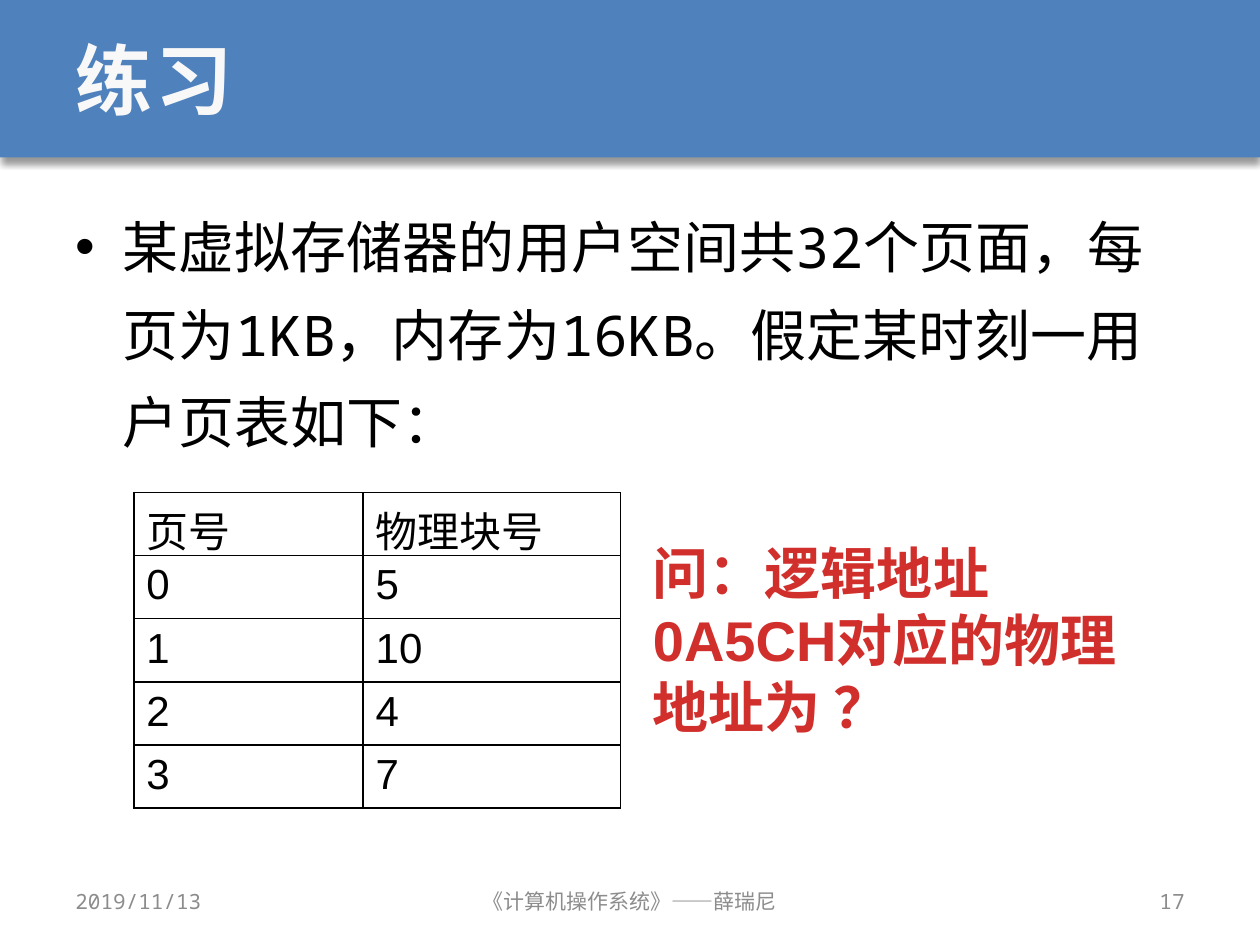
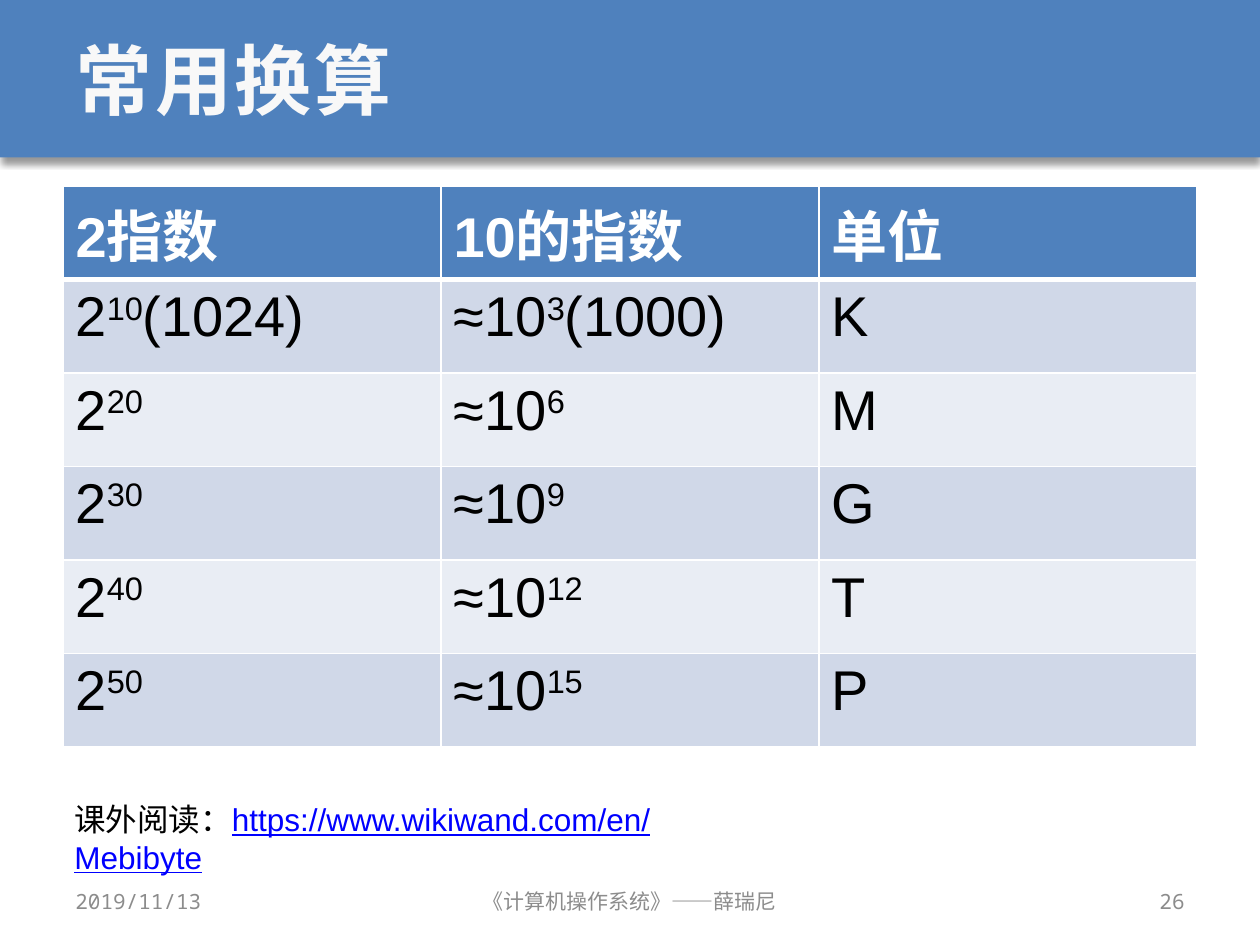
from lxml import etree
from pptx import Presentation
from pptx.dml.color import RGBColor
from pptx.enum.shapes import MSO_SHAPE as Shape
from pptx.enum.text import MSO_ANCHOR as Anchor, MSO_AUTO_SIZE as AutoSize, PP_ALIGN as Align
from pptx.oxml import parse_xml
from pptx.oxml.ns import nsdecls, qn
from pptx.util import Pt

BLUE = RGBColor(0x4F, 0x81, 0xBD)
PALE_BLUE = RGBColor(0xD0, 0xD8, 0xE8)
PALER_BLUE = RGBColor(0xE9, 0xED, 0xF4)
LINK_BLUE = RGBColor(0x00, 0x00, 0xFF)
RED = RGBColor(0xD0, 0x2F, 0x2C)
GREY = RGBColor(0x8C, 0x8C, 0x8C)
OFF_WHITE = RGBColor(0xF8, 0xF8, 0xF8)
WHITE = RGBColor(0xFF, 0xFF, 0xFF)
BLACK = RGBColor(0x00, 0x00, 0x00)
MONO, SANS = "Noto Sans Mono", "Arial"


def style(paragraph, name, size, color, bold=False):
    font = paragraph.font
    font.name, font.size, font.bold = name, Pt(size), bold
    font.color.rgb = color


def set_borders(cell, color, bottom=1):
    properties = cell._tc.get_or_add_tcPr()
    for side in "LRTB":
        width = Pt(bottom if side == "B" else 1)
        line = etree.SubElement(properties, qn(f"a:ln{side}"), w=str(width))
        fill = etree.SubElement(line, qn("a:solidFill"))
        etree.SubElement(fill, qn("a:srgbClr"), val=str(color))


presentation = Presentation()
presentation.slide_width, presentation.slide_height = Pt(720), Pt(540)
layouts = presentation.slide_layouts
exercise = presentation.slides.add_slide(layouts.get_by_name("Title and Content"))
conversion = presentation.slides.add_slide(layouts.get_by_name("Title Only"))

# Title band, moved to the master so that both slides share it
band = exercise.shapes.add_shape(Shape.RECTANGLE, 0, 0, Pt(720), Pt(90))
band.fill.solid()
band.fill.fore_color.rgb = BLUE
band.line.fill.background()
band._element.spPr.append(parse_xml(
    f'<a:effectLst {nsdecls("a")}>'
    f'<a:outerShdw blurRad="{Pt(4)}" dist="{Pt(3)}" dir="5400000" rotWithShape="0">'
    '<a:srgbClr val="000000"><a:alpha val="40000"/></a:srgbClr>'
    '</a:outerShdw></a:effectLst>'))
presentation.slide_master.shapes._spTree.insert(2, band._element)

# Titles and footers
for slide, heading, number in ((exercise, "练习", "17"), (conversion, "常用换算", "26")):
    title = slide.shapes.title
    title.left, title.top, title.width, title.height = Pt(36), 0, Pt(648), Pt(90)
    title.text_frame.text = heading
    title.text_frame.vertical_anchor = Anchor.MIDDLE
    title.text_frame.auto_size = AutoSize.NONE
    paragraph = title.text_frame.paragraphs[0]
    paragraph.alignment = Align.LEFT
    style(paragraph, MONO, 44, OFF_WHITE, bold=True)
    paragraph.runs[0].font._element.set("spc", "150")

    for left, width, text, alignment in (
            (36, 168, "2019/11/13", Align.LEFT),
            (246, 228, "《计算机操作系统》——薛瑞尼", Align.CENTER),
            (516, 168, number, Align.RIGHT)):
        footer = slide.shapes.add_textbox(Pt(left), Pt(500.5), Pt(width), Pt(28.75))
        footer.text_frame.word_wrap = True
        footer.text_frame.vertical_anchor = Anchor.MIDDLE
        footer.text_frame.text = text
        paragraph = footer.text_frame.paragraphs[0]
        paragraph.alignment = alignment
        style(paragraph, MONO, 12, GREY)

# Exercise: problem statement
body = exercise.placeholders[1]
body.left, body.top, body.width, body.height = Pt(36), Pt(106.5), Pt(648), Pt(384)
body.text_frame.text = "某虚拟存储器的用户空间共32个页面，每页为1KB，内存为16KB。假定某时刻一用户页表如下："
body.text_frame.auto_size = AutoSize.NONE
paragraph = body.text_frame.paragraphs[0]
paragraph.line_spacing = 1.3
paragraph.space_before = Pt(0)
style(paragraph, MONO, 32, BLACK)

# Exercise: page table
page_rows = [("页号", "物理块号"), ("0", "5"), ("1", "10"), ("2", "4"), ("3", "7")]
page_table = exercise.shapes.add_table(
    len(page_rows), 2, Pt(76.5), Pt(281.5), Pt(278), Pt(147.5)).table
page_table.first_row = page_table.horz_banding = False
page_table.columns[0].width, page_table.columns[1].width = Pt(131), Pt(147)
for row, texts in enumerate(page_rows):
    for column, text in enumerate(texts):
        cell = page_table.cell(row, column)
        cell.text = text
        style(cell.text_frame.paragraphs[0], SANS, 24, BLACK)
        set_borders(cell, BLACK)
        cell.fill.background()

# Exercise: question
question = exercise.shapes.add_textbox(Pt(366), Pt(304), Pt(306), Pt(124))
question.text_frame.word_wrap = True
question.text_frame.text = "问：逻辑地址0A5CH对应的物理地址为 ？"
style(question.text_frame.paragraphs[0], SANS, 32, RED, bold=True)

# Conversion table: text between carets is superscript
unit_rows = [("2指数", "10的指数", "单位"),
             ("2^10^(1024)", "≈10^3^(1000)", "K"),
             ("2^20", "≈10^6", "M"),
             ("2^30", "≈10^9", "G"),
             ("2^40", "≈10^12", "T"),
             ("2^50", "≈10^15", "P")]
unit_table = conversion.shapes.add_table(
    len(unit_rows), 3, Pt(36), Pt(106.5), Pt(648), Pt(320.4)).table
for row, texts in enumerate(unit_rows):
    header = row == 0
    for column, text in enumerate(texts):
        cell = unit_table.cell(row, column)
        paragraph = cell.text_frame.paragraphs[0]
        style(paragraph, SANS, 32, WHITE if header else BLACK, bold=header)
        for index, part in enumerate(text.split("^")):
            run = paragraph.add_run()
            run.text = part
            if index % 2:
                run.font._element.set("baseline", "30000")
        set_borders(cell, WHITE, bottom=3 if header else 1)
        cell.fill.solid()
        cell.fill.fore_color.rgb = BLUE if header else PALE_BLUE if row % 2 else PALER_BLUE

# Conversion: further reading
reading = conversion.shapes.add_textbox(Pt(35.5), Pt(453.5), Pt(415), Pt(29))
reading.text_frame.word_wrap = True
paragraph = reading.text_frame.paragraphs[0]
style(paragraph, SANS, 18, BLACK)
paragraph.add_run().text = "课外阅读："
address = paragraph.add_run()
address.text = "https://www.wikiwand.com/en/Mebibyte"
address.font.color.rgb = LINK_BLUE
address.font.underline = True

presentation.save("out.pptx")
